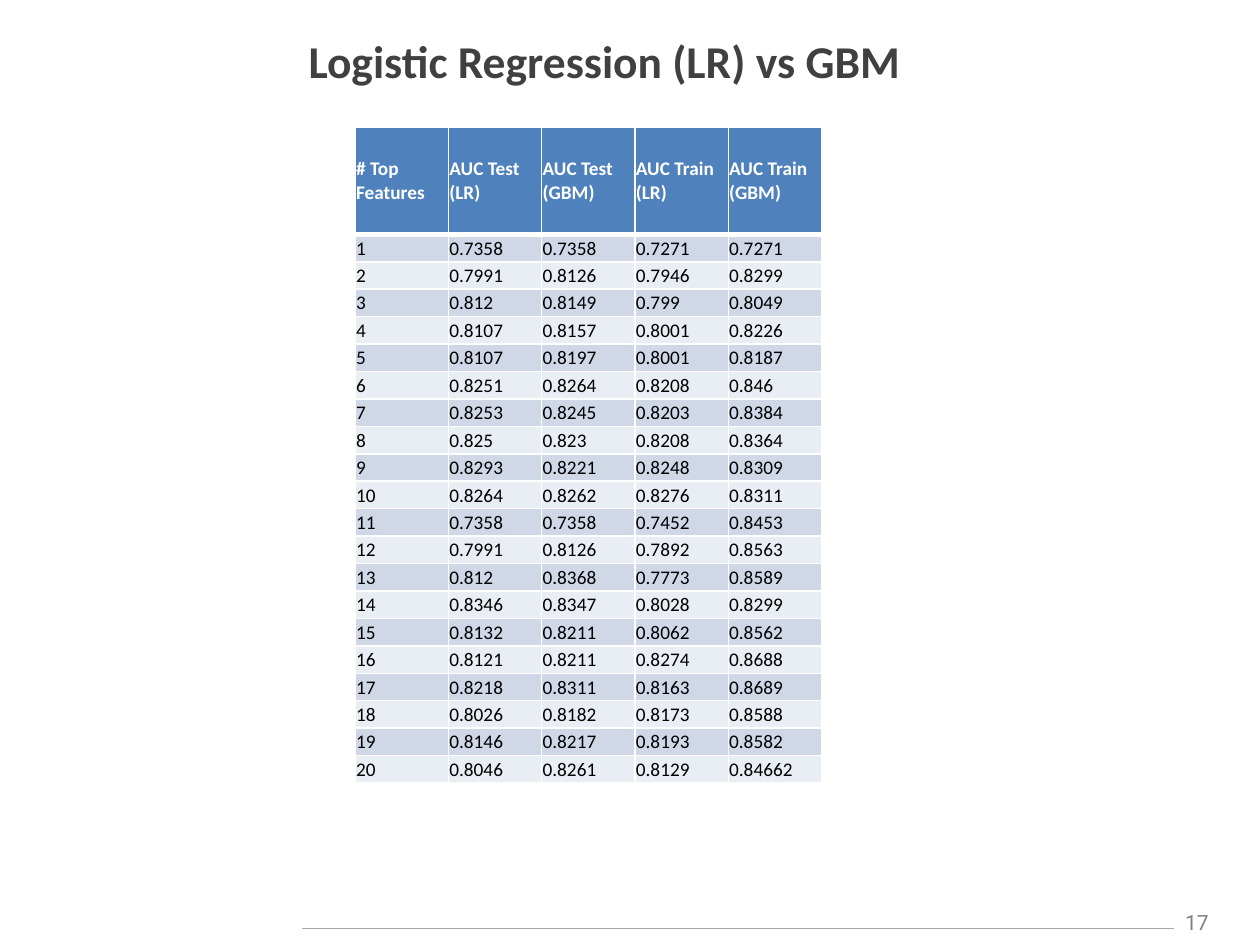
from lxml import etree
from pptx import Presentation
from pptx.dml.color import RGBColor
from pptx.enum import shapes, text
from pptx.oxml import ns
from pptx.util import Pt

TITLE = "Logistic Regression (LR) vs GBM"
PAGE_NUMBER = "17"
HEADERS = ["# Top Features", "AUC Test (LR)", "AUC Test (GBM)", "AUC Train (LR)", "AUC Train (GBM)"]
# One row for each number of top features, counted from 1
SCORES = [
    ("0.7358", "0.7358", "0.7271", "0.7271"),
    ("0.7991", "0.8126", "0.7946", "0.8299"),
    ("0.812", "0.8149", "0.799", "0.8049"),
    ("0.8107", "0.8157", "0.8001", "0.8226"),
    ("0.8107", "0.8197", "0.8001", "0.8187"),
    ("0.8251", "0.8264", "0.8208", "0.846"),
    ("0.8253", "0.8245", "0.8203", "0.8384"),
    ("0.825", "0.823", "0.8208", "0.8364"),
    ("0.8293", "0.8221", "0.8248", "0.8309"),
    ("0.8264", "0.8262", "0.8276", "0.8311"),
    ("0.7358", "0.7358", "0.7452", "0.8453"),
    ("0.7991", "0.8126", "0.7892", "0.8563"),
    ("0.812", "0.8368", "0.7773", "0.8589"),
    ("0.8346", "0.8347", "0.8028", "0.8299"),
    ("0.8132", "0.8211", "0.8062", "0.8562"),
    ("0.8121", "0.8211", "0.8274", "0.8688"),
    ("0.8218", "0.8311", "0.8163", "0.8689"),
    ("0.8026", "0.8182", "0.8173", "0.8588"),
    ("0.8146", "0.8217", "0.8193", "0.8582"),
    ("0.8046", "0.8261", "0.8129", "0.84662"),
]

WHITE = RGBColor(0xFF, 0xFF, 0xFF)
BLACK = RGBColor(0x00, 0x00, 0x00)
TITLE_GRAY = RGBColor(0x40, 0x40, 0x40)
NUMBER_GRAY = RGBColor(0x80, 0x80, 0x80)
RULE_GRAY = RGBColor(0xA6, 0xA6, 0xA6)
HEADER_BLUE = RGBColor(0x4F, 0x81, 0xBD)
BANDS = [RGBColor(0xD0, 0xD8, 0xE8), RGBColor(0xE9, 0xED, 0xF4)]

TABLE_LEFT, TABLE_TOP = 203, 72.7
COLUMN_WIDTH, HEADER_HEIGHT, ROW_HEIGHT = 53.3, 61.2, 15.7


def write(frame, content, size=11, color=BLACK, bold=False, font="Calibri",
          align=text.PP_ALIGN.LEFT):
    paragraph = frame.paragraphs[0]
    paragraph.alignment = align
    run = paragraph.add_run()
    run.text = content
    run.font.name = font
    run.font.size = Pt(size)
    run.font.bold = bold
    run.font.color.rgb = color


def add_label(slide, box, content, **text_format):
    frame = slide.shapes.add_textbox(*map(Pt, box)).text_frame
    frame.word_wrap = True
    frame.vertical_anchor = text.MSO_ANCHOR.MIDDLE
    write(frame, content, align=text.PP_ALIGN.CENTER, **text_format)


def add_borders(cell, widths):
    """Draw white cell edges; widths maps L, R, T and B, in that order, to points."""
    properties = cell._tc.get_or_add_tcPr()
    for side, width in widths.items():
        line = etree.SubElement(properties, ns.qn(f"a:ln{side}"), w=str(Pt(width)))
        fill = etree.SubElement(line, ns.qn("a:solidFill"))
        etree.SubElement(fill, ns.qn("a:srgbClr"), val=str(WHITE))


def add_score_table(slide):
    rows = [HEADERS] + [(str(count), *scores) for count, scores in enumerate(SCORES, 1)]
    width = COLUMN_WIDTH * len(HEADERS)
    height = HEADER_HEIGHT + ROW_HEIGHT * len(SCORES)
    table = slide.shapes.add_table(len(rows), len(HEADERS), Pt(TABLE_LEFT), Pt(TABLE_TOP),
                                   Pt(width), Pt(height)).table
    for column in table.columns:
        column.width = Pt(COLUMN_WIDTH)
    for index, values in enumerate(rows):
        is_header = index == 0
        table.rows[index].height = Pt(HEADER_HEIGHT if is_header else ROW_HEIGHT)
        for column_index, value in enumerate(values):
            cell = table.cell(index, column_index)
            cell.margin_left = cell.margin_right = cell.margin_top = Pt(0.5)
            cell.margin_bottom = 0
            cell.vertical_anchor = text.MSO_ANCHOR.MIDDLE
            add_borders(cell, {"L": 1, "R": 1, "T": 3 if index == 1 else 1,
                               "B": 3 if is_header else 1})
            cell.fill.solid()
            cell.fill.fore_color.rgb = HEADER_BLUE if is_header else BANDS[(index - 1) % 2]
            write(cell.text_frame, value, bold=is_header, color=WHITE if is_header else BLACK)


def add_footer_rule(slide):
    rule = slide.shapes.add_connector(shapes.MSO_CONNECTOR.STRAIGHT,
                                      Pt(172.8), Pt(530.6), Pt(671), Pt(530.6))
    rule.line.color.rgb = RULE_GRAY
    rule.line.width = Pt(0.75)
    etree.SubElement(rule._element.spPr, ns.qn("a:effectLst"))


def main():
    presentation = Presentation()
    presentation.slide_width, presentation.slide_height = Pt(720), Pt(540)
    slide = presentation.slides.add_slide(presentation.slide_layouts[6])
    add_footer_rule(slide)
    add_label(slide, (666, 516.2, 36, 21.6), PAGE_NUMBER,
              size=12, color=NUMBER_GRAY, font="Roboto")
    add_label(slide, (21.6, 9.4, 648, 50.4), TITLE, size=26, color=TITLE_GRAY, bold=True)
    add_score_table(slide)
    presentation.save("out.pptx")


if __name__ == "__main__":
    main()
